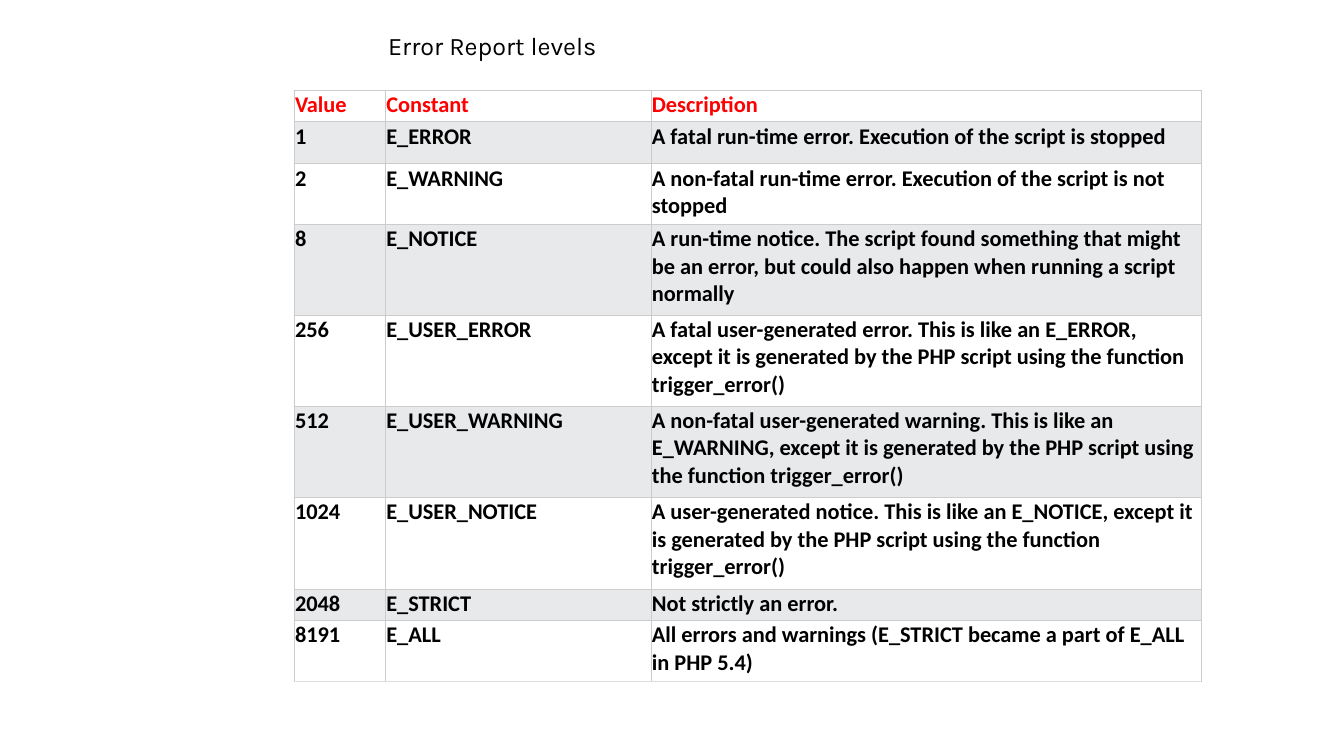
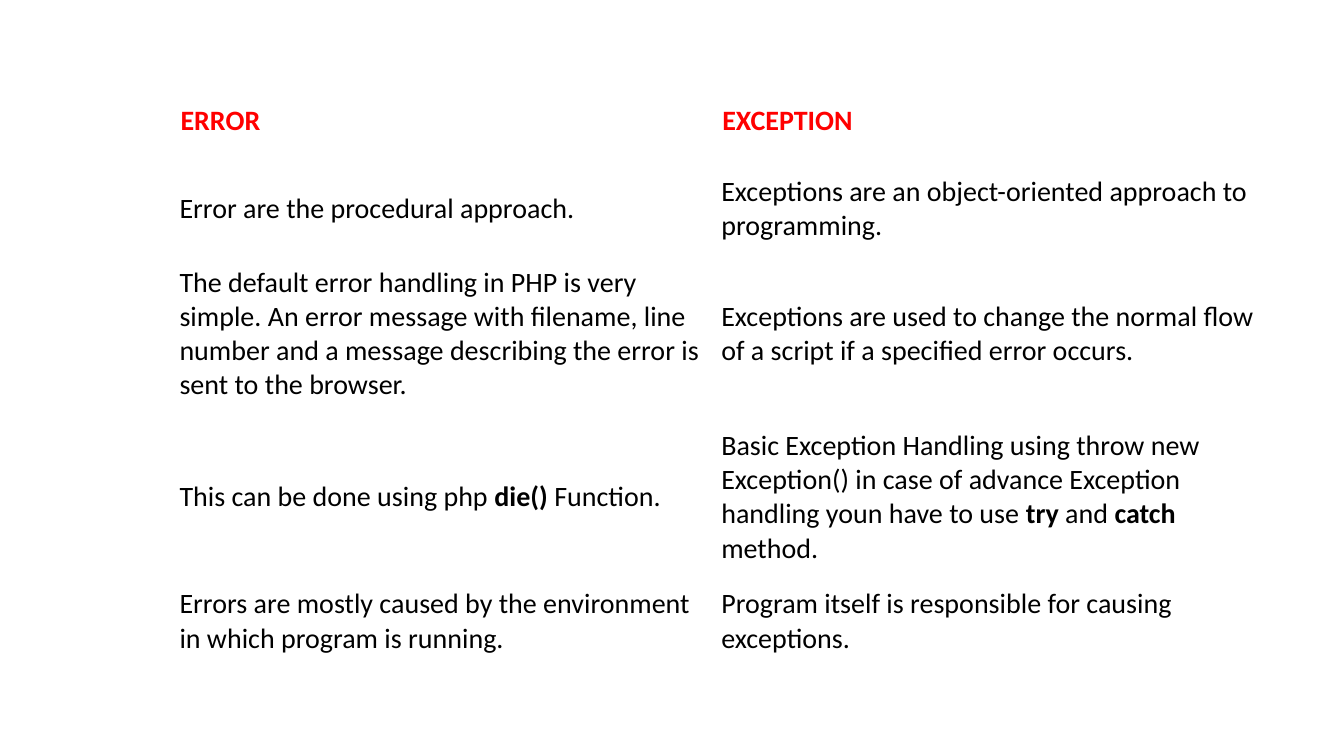
from dataclasses import dataclass

from pptx import Presentation, util as u
from pptx.dml.color import RGBColor
from pptx.enum import text
from pptx.oxml import parse_xml
from pptx.oxml.ns import nsdecls

PX = 9525
RED = RGBColor(0xFF, 0x00, 0x00)
BLACK = RGBColor(0x00, 0x00, 0x00)
WHITE = RGBColor(0xFF, 0xFF, 0xFF)
BAND = RGBColor(0xE7, 0xE9, 0xEB)
GRID = RGBColor(0xCC, 0xCC, 0xCC)
GRID_END = RGBColor(0xDD, 0xDD, 0xDD)
TITLE_FONT = "Karla"
TABLE_FONT = "Calibri"
BOLD_MARK = "**"


@dataclass(frozen=True)
class TableStyle:
    """Insets are (horizontal, vertical) in px."""
    size: int
    anchor: text.MSO_ANCHOR
    head_inset: tuple[int, int]
    body_inset: tuple[int, int]
    band: RGBColor
    bold_body: bool
    bordered: bool


@dataclass(frozen=True)
class TableSpec:
    left: int
    top: int
    cols: list[int]
    heights: list[int]
    rows: list[tuple[str, ...]]
    style: TableStyle


LEVELS = TableSpec(
    280, 86, [87, 253, 524], [30, 40, 58, 86, 87, 87, 87, 30, 58],
    [
        ("Value", "Constant", "Description"),
        ("1", "E_ERROR",
         "A fatal run-time error. Execution of the script is stopped"),
        ("2", "E_WARNING",
         "A non-fatal run-time error. Execution of the script is not stopped"),
        ("8", "E_NOTICE",
         "A run-time notice. The script found something that might be an error, "
         "but could also happen when running a script normally"),
        ("256", "E_USER_ERROR",
         "A fatal user-generated error. This is like an E_ERROR, except it is "
         "generated by the PHP script using the function trigger_error()"),
        ("512", "E_USER_WARNING",
         "A non-fatal user-generated warning. This is like an E_WARNING, except it is "
         "generated by the PHP script using the function trigger_error()"),
        ("1024", "E_USER_NOTICE",
         "A user-generated notice. This is like an E_NOTICE, except it is "
         "generated by the PHP script using the function trigger_error()"),
        ("2048", "E_STRICT", "Not strictly an error."),
        ("8191", "E_ALL",
         "All errors and warnings (E_STRICT became a part of E_ALL in PHP 5.4)"),
    ],
    TableStyle(16, text.MSO_ANCHOR.TOP, (1, 1), (1, 1), BAND, True, True),
)

COMPARISON = TableSpec(
    168, 72, [516, 516], [86, 82, 156, 155, 82],
    [
        ("ERROR", "EXCEPTION"),
        ("Error are the procedural approach.",
         "Exceptions are an object-oriented approach to programming."),
        ("The default error handling in PHP is very simple. An error message with "
         "filename, line number and a message describing the error is sent to the browser.",
         "Exceptions are used to change the normal flow of a script "
         "if a specified error occurs."),
        ("This can be done using php **die()** Function.",
         "Basic Exception Handling using throw new Exception() in case of advance "
         "Exception handling youn have to use **try** and **catch** method."),
        ("Errors are mostly caused by the environment in which program is running.",
         "Program itself is responsible for causing exceptions."),
    ],
    TableStyle(20, text.MSO_ANCHOR.MIDDLE, (4, 2), (3, 4), WHITE, False, False),
)


def set_borders(cell, bottom: RGBColor) -> None:
    sides = {"lnL": GRID, "lnR": GRID, "lnT": GRID, "lnB": bottom}
    for i, (tag, color) in enumerate(sides.items()):
        line = parse_xml(
            f'<a:{tag} {nsdecls("a")} w="{u.Pt(0.5)}"><a:solidFill>'
            f'<a:srgbClr val="{color}"/></a:solidFill></a:{tag}>')
        cell._tc.get_or_add_tcPr().insert(i, line)


def format_run(r, font: str, size: int, color: RGBColor, bold: bool = False) -> None:
    r.font.name = font
    r.font.size = u.Pt(size)
    r.font.color.rgb = color
    r.font.bold = bold


def fill_cell(cell, content: str, row: int, style: TableStyle) -> None:
    head = row == 0
    dx, dy = style.head_inset if head else style.body_inset
    cell.margin_left = cell.margin_right = dx * PX
    cell.margin_top = cell.margin_bottom = dy * PX
    cell.vertical_anchor = style.anchor
    cell.fill.solid()
    cell.fill.fore_color.rgb = style.band if row % 2 else WHITE
    p = cell.text_frame.paragraphs[0]
    for i, part in enumerate(content.split(BOLD_MARK)):
        r = p.add_run()
        r.text = part
        bold = head or style.bold_body or i % 2 == 1
        format_run(r, TABLE_FONT, style.size, RED if head else BLACK, bold)


def add_table(s, spec: TableSpec) -> None:
    box = (spec.left, spec.top, sum(spec.cols), sum(spec.heights))
    table = s.shapes.add_table(
        len(spec.rows), len(spec.cols), *(v * PX for v in box)).table
    table.first_row = table.horz_banding = False
    for col, width in zip(table.columns, spec.cols):
        col.width = width * PX
    last = len(spec.rows) - 1
    for i, (height, row) in enumerate(zip(spec.heights, spec.rows)):
        table.rows[i].height = height * PX
        for j, content in enumerate(row):
            cell = table.cell(i, j)
            fill_cell(cell, content, i, spec.style)
            if spec.style.bordered:
                set_borders(cell, GRID_END if i == last else GRID)


def set_title(s, content: str) -> None:
    sp = s.shapes.title
    sp.left, sp.top, sp.width, sp.height = (v * PX for v in (360, 24, 640, 38))
    tf = sp.text_frame
    tf.text = content
    tf.word_wrap = True
    tf.auto_size = text.MSO_AUTO_SIZE.SHAPE_TO_FIT_TEXT
    tf.vertical_anchor = text.MSO_ANCHOR.TOP
    p = tf.paragraphs[0]
    p.alignment = text.PP_ALIGN.LEFT
    format_run(p.runs[0], TITLE_FONT, 18, BLACK)


def main() -> None:
    prs = Presentation()
    prs.slide_width, prs.slide_height = 1280 * PX, 720 * PX
    title_only, blank = prs.slide_layouts[5], prs.slide_layouts[6]

    s = prs.slides.add_slide(title_only)
    set_title(s, "Error Report levels")
    add_table(s, LEVELS)

    s = prs.slides.add_slide(blank)
    add_table(s, COMPARISON)

    prs.save("out.pptx")


if __name__ == "__main__":
    main()
